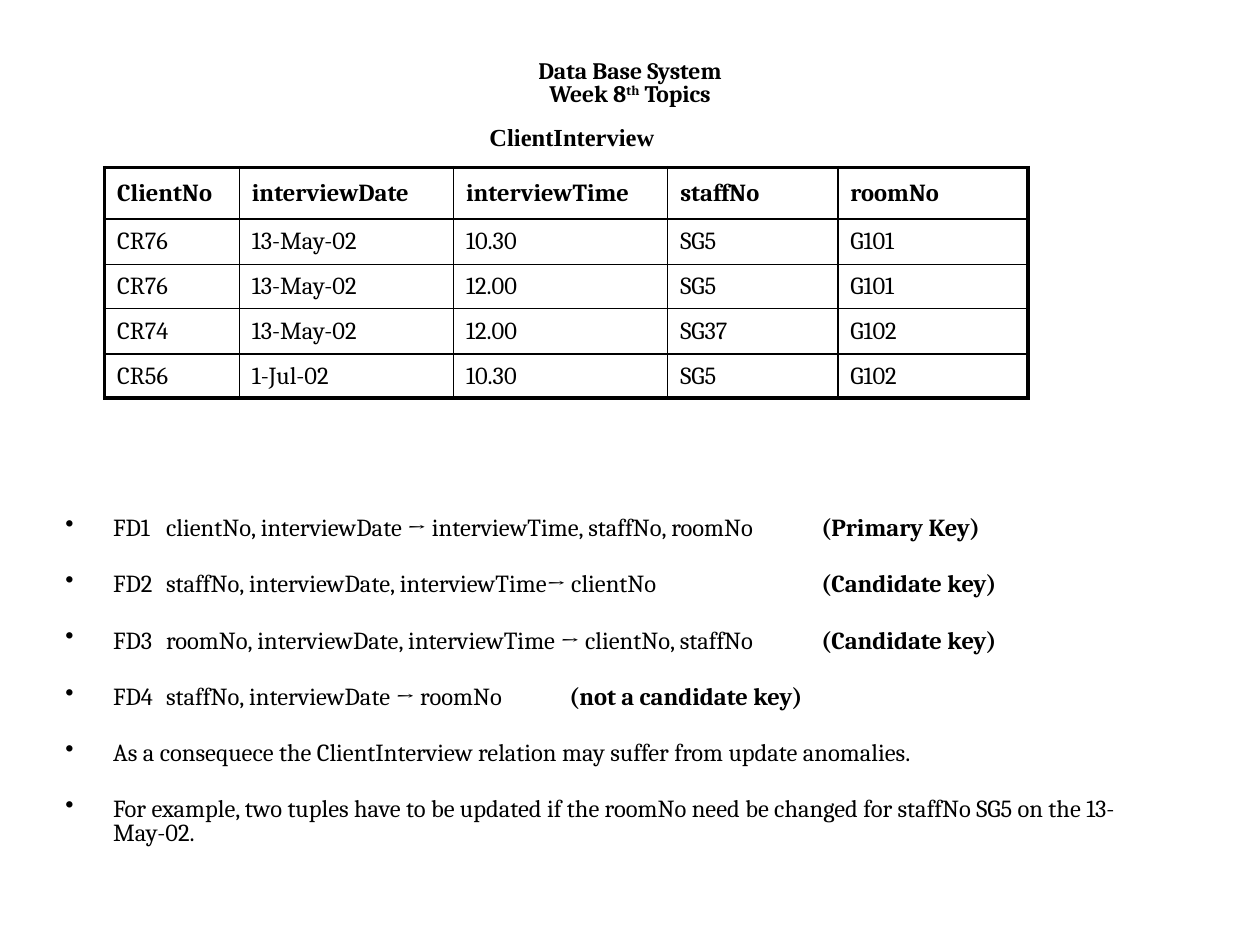
"""Build the slide on the functional dependencies of ClientInterview."""
from dataclasses import dataclass

from lxml.etree import SubElement
from pptx import Presentation
from pptx.dml.color import RGBColor
from pptx.enum.text import MSO_ANCHOR as Anchor, MSO_AUTO_SIZE as AutoSize, PP_ALIGN as Align
from pptx.oxml import parse_xml
from pptx.oxml.ns import nsdecls, qn
from pptx.util import Inches, Pt

BLACK = RGBColor(0, 0, 0)
WHITE = RGBColor(255, 255, 255)
SERIF = "Cambria"
THIN, THICK = Pt(1), Pt(2.25)
LABEL_STOP = 0.8

COLUMN_WIDTHS = (1.07, 1.7, 1.7, 1.35, 1.51)
ROW_HEIGHTS = (0.41, 0.36, 0.35, 0.36, 0.35)
INTERVIEWS = (
    ("ClientNo", "interviewDate", "interviewTime", "staffNo", "roomNo"),
    ("CR76", "13-May-02", "10.30", "SG5", "G101"),
    ("CR76", "13-May-02", "12.00", "SG5", "G101"),
    ("CR74", "13-May-02", "12.00", "SG37", "G102"),
    ("CR56", "1-Jul-02", "10.30", "SG5", "G102"),
)


@dataclass(frozen=True)
class Bullet:
    """A bullet with an optional bold remark at a tab stop in inches."""
    text: str
    remark: str = ""
    stop: float = 6


BULLETS = (
    Bullet("FD1\tclientNo, interviewDate → interviewTime, staffNo, roomNo", "(Primary Key)"),
    Bullet("FD2\tstaffNo, interviewDate, interviewTime→ clientNo", "(Candidate key)"),
    Bullet("FD3\troomNo, interviewDate, interviewTime → clientNo, staffNo", "(Candidate key)"),
    Bullet("FD4\tstaffNo, interviewDate → roomNo", "(not a candidate key)", 4),
    Bullet("As a consequece the ClientInterview relation may suffer from update anomalies."),
    Bullet("For example, two tuples have to be updated if the roomNo need be changed "
           "for staffNo SG5 on the 13-May-02."),
)


def style(p, size: float, bold: bool = False, name: str = SERIF) -> None:
    """Set the font of a paragraph."""
    p.font.size, p.font.bold, p.font.name = Pt(size), bold, name
    p.font.color.rgb = BLACK


def place(s, left: float, top: float, width: float, height: float) -> None:
    """Move and size a shape in inches."""
    s.left, s.top, s.width, s.height = map(Inches, (left, top, width, height))


def add_title(slide) -> None:
    """Fill and format the title placeholder."""
    s = slide.shapes.title
    place(s, 0.75, 0.42, 8.5, 0.5)
    tf = s.text_frame
    tf.auto_size, tf.vertical_anchor = AutoSize.NONE, Anchor.MIDDLE
    p = tf.paragraphs[0]
    p.alignment, p.line_spacing = Align.CENTER, 0.8
    style(p, 13.5, True)
    p.add_run().text = "Data Base System"
    p.add_line_break()
    p.add_run().text = "Week 8"
    r = p.add_run()
    r.text = "th"
    r.font._element.set("baseline", "30000")
    p.add_run().text = " Topics"


def add_caption(slide) -> None:
    """Add the name of the relation above the table."""
    s = slide.shapes.add_textbox(Inches(3.78), Inches(0.92), Inches(1.52), Inches(0.34))
    s.text_frame.word_wrap = False
    p = s.text_frame.paragraphs[0]
    p.text, p.alignment = "ClientInterview", Align.CENTER
    style(p, 14, True, "Times New Roman")


def set_borders(cell, **widths: int) -> None:
    """Draw the borders of a cell, given by side."""
    tc_pr = cell._tc.get_or_add_tcPr()
    for i, (side, width) in enumerate(widths.items()):
        tc_pr.insert(i, parse_xml(
            f'<a:ln{side} {nsdecls("a")} w="{width}"><a:solidFill>'
            f'<a:srgbClr val="{BLACK}"/></a:solidFill></a:ln{side}>'))


def add_interviews(slide) -> None:
    """Add the table with a thick outline and thin inner lines."""
    rows, cols = len(ROW_HEIGHTS), len(COLUMN_WIDTHS)
    table = slide.shapes.add_table(rows, cols, Inches(0.83), Inches(1.33),
                                   Inches(7.33), Inches(1.83)).table
    table.horz_banding = False
    for column, width in zip(table.columns, COLUMN_WIDTHS):
        column.width = Inches(width)
    for i, (row, height) in enumerate(zip(table.rows, ROW_HEIGHTS)):
        row.height = Inches(height)
        for j, cell in enumerate(row.cells):
            cell.fill.solid()
            cell.fill.fore_color.rgb = WHITE
            cell.vertical_anchor = Anchor.MIDDLE
            cell.margin_top = cell.margin_bottom = 0
            p = cell.text_frame.paragraphs[0]
            p.text = INTERVIEWS[i][j]
            style(p, 14, i == 0)
            set_borders(cell, L=THICK if j == 0 else THIN,
                        R=THICK if j == cols - 1 else THIN,
                        T=THICK if i == 0 else THIN,
                        B=THICK if i == rows - 1 else THIN)


def format_bullet(p, stops: tuple[float, ...]) -> None:
    """Give a paragraph a hanging bullet and its tab stops."""
    p_pr = p._p.get_or_add_pPr()
    p_pr.set("marL", str(Inches(0.38)))
    p_pr.set("indent", str(-Inches(0.38)))
    bullet = parse_xml(f'<a:buChar {nsdecls("a")} char="•"/>')
    tabs = parse_xml(f'<a:tabLst {nsdecls("a")}/>')
    for stop in stops:
        SubElement(tabs, qn("a:tab"), pos=str(Inches(stop)), algn="l")
    p_pr.insert_element_before(bullet, "a:tabLst", "a:defRPr", "a:extLst")
    p_pr.insert_element_before(tabs, "a:defRPr", "a:extLst")


def add_bullets(slide) -> None:
    """Add the dependencies and the conclusions."""
    s = slide.shapes.add_textbox(Inches(0.42), Inches(3.33), Inches(9), Inches(3.92))
    tf = s.text_frame
    tf.word_wrap, tf.margin_top = True, Inches(0.78)
    for i, item in enumerate(BULLETS):
        p = tf.add_paragraph() if i else tf.paragraphs[0]
        p.line_spacing, p.space_before = 0.8, Pt(18.7 if i else 0)
        style(p, 14)
        p.add_run().text = item.text
        if item.remark:
            r = p.add_run()
            r.text, r.font.bold = "\t" + item.remark, True
        format_bullet(p, (LABEL_STOP, item.stop) if item.remark else ())


prs = Presentation()
prs.slide_width, prs.slide_height = Inches(10), Inches(7.5)
slide = prs.slides.add_slide(prs.slide_layouts[5])
add_caption(slide)
add_interviews(slide)
add_bullets(slide)
add_title(slide)
prs.save("out.pptx")
